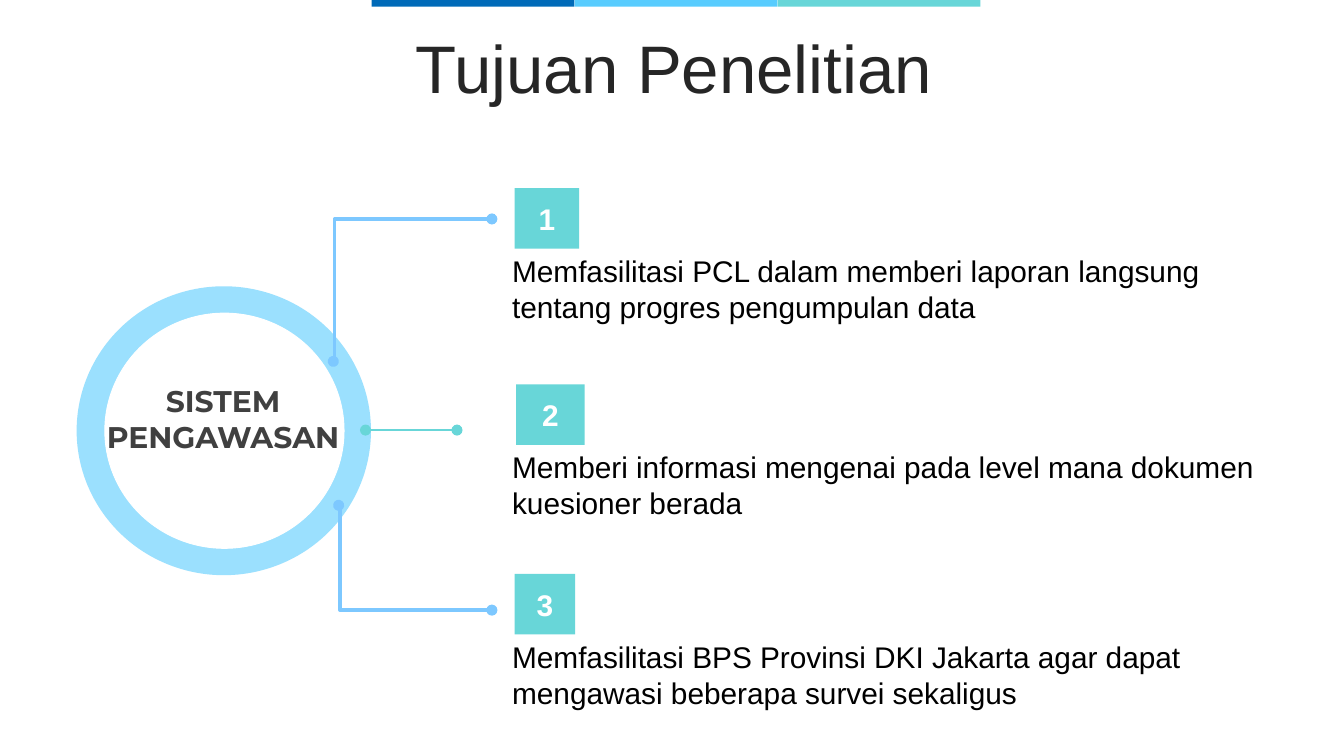
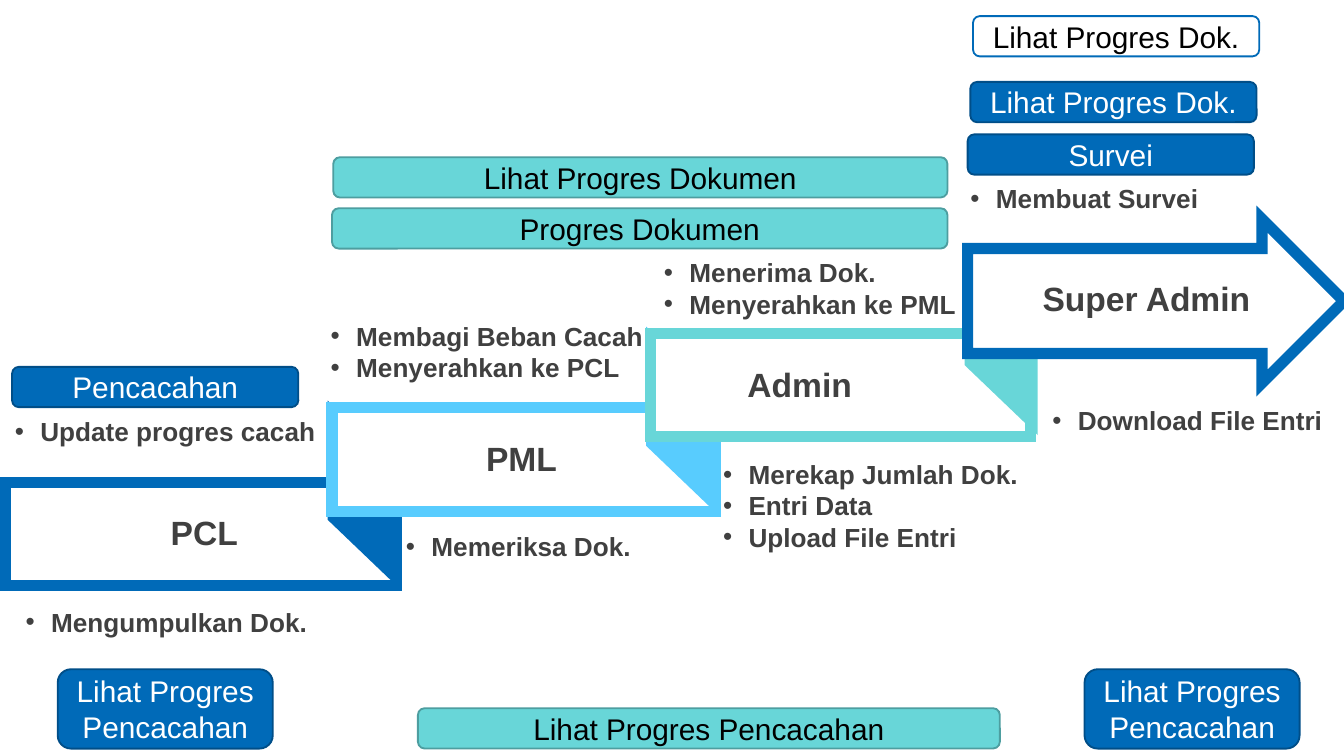
from lxml.etree import SubElement
from pptx import Presentation
from pptx.dml.color import RGBColor
from pptx.enum.shapes import MSO_CONNECTOR as CONN, MSO_SHAPE as SHAPE
from pptx.enum.text import MSO_ANCHOR as ANCHOR, MSO_AUTO_SIZE as FIT, PP_ALIGN as ALIGN
from pptx.oxml.ns import qn
from pptx.util import Inches, Pt

COLS, ROWS = 100, 56.25
WIDTH, HEIGHT = Inches(10), Inches(5.625)
BLUE, SKY, TEAL = "006AB8", "58CCFE", "68D6D8"
PALE, LINK = "9BE0FE", "7DC8FF"
NAVY, DEEP_TEAL = "004E88", "4D9EA0"
WHITE, BLACK, INK, GREY = "FFFFFF", "000000", "262626", "404040"
FONT, LABEL_FONT = "Arial", "Montserrat"
INSETS = (0.7, 0.4)
PILL_INSETS = (1, 0.5)


def rgb(code):
    """Turn a hex string into a colour."""
    return RGBColor.from_string(code)


def x(cols):
    """Convert grid columns to a horizontal length."""
    return round(WIDTH * cols / COLS)


def y(rows):
    """Convert grid rows to a vertical length."""
    return round(HEIGHT * rows / ROWS)


def area(left, top, width, height):
    """Convert a grid area to slide lengths."""
    return x(left), y(top), x(width), y(height)


def write(sp, lines, size, color, bold=False, font=FONT, align=ALIGN.CENTER,
          anchor=ANCHOR.MIDDLE, insets=INSETS, bullet=False):
    """Fill a shape with one paragraph per line."""
    tf = sp.text_frame
    tf.word_wrap = True
    tf.vertical_anchor = anchor
    tf.margin_left = tf.margin_right = x(insets[0])
    tf.margin_top = tf.margin_bottom = y(insets[1])
    for i, line in enumerate(lines):
        p = tf.add_paragraph() if i else tf.paragraphs[0]
        p.alignment = align
        r = p.add_run()
        r.text = line
        r.font.size, r.font.bold, r.font.name = Pt(size), bold, font
        r.font.color.rgb = rgb(color)
        if bullet:
            add_bullet(p)
    return tf


def add_bullet(p):
    """Give a paragraph a hanging bullet."""
    pPr = p._p.get_or_add_pPr()
    pPr.set("marL", str(x(1.9)))
    pPr.set("indent", str(-x(1.9)))
    SubElement(pPr, qn("a:buFont"), typeface=FONT)
    SubElement(pPr, qn("a:buChar"), char="•")


def paint(sp, fill, line=None, weight=1):
    """Set the fill and the mitred outline of a shape."""
    sp.shadow.inherit = False
    sp.fill.solid()
    sp.fill.fore_color.rgb = rgb(fill)
    if line is None:
        sp.line.fill.background()
        return
    sp.line.color.rgb = rgb(line)
    sp.line.width = Pt(weight)
    SubElement(sp.line._get_or_add_ln(), qn("a:miter"), lim="800000")


def add_box(s, kind, box, fill, line=None, weight=1):
    """Add a painted preset shape."""
    sp = s.shapes.add_shape(kind, *area(*box))
    paint(sp, fill, line, weight)
    return sp


def add_text(s, box, lines, size, color, **style):
    """Add a text box that grows with its text."""
    sp = s.shapes.add_textbox(*area(*box))
    tf = write(sp, lines, size, color, anchor=ANCHOR.TOP, **style)
    tf.auto_size = FIT.SHAPE_TO_FIT_TEXT


def add_title(s, text):
    """Add the slide title below a band of three colours."""
    sp = s.shapes.add_textbox(*area(2.7, 2.4, 94.9, 5.9))
    p = write(sp, [text], 36, INK).paragraphs[0]
    p.line_spacing, p.space_before = 0.9, Pt(7.5)
    for i, color in enumerate((BLUE, SKY, TEAL)):
        add_box(s, SHAPE.RECTANGLE, (27.65 + 15.1 * i, 0, 15.1, 0.5), color)


def add_link(s, kind, start, end, color, weight, bend=None):
    """Add a connector with a dot at both ends."""
    c = s.shapes.add_connector(kind, x(start[0]), y(start[1]), x(end[0]), y(end[1]))
    c.line.color.rgb = rgb(color)
    c.line.width = Pt(weight)
    ln = c.line._get_or_add_ln()
    for tag in ("a:headEnd", "a:tailEnd"):
        SubElement(ln, qn(tag), type="oval")
    spPr = c._element.spPr
    SubElement(spPr, qn("a:effectLst"))
    if bend is not None:
        guides = spPr.find(qn("a:prstGeom")).get_or_add_avLst()
        SubElement(guides, qn("a:gd"), name="adj1", fmla=f"val {bend}")


def add_goal(s, number, left, top, side, width, lines):
    """Add a numbered square with its goal below."""
    add_text(s, (37.4, top + 4.4, width, 6.1), lines, 16, BLACK, align=ALIGN.LEFT)
    sp = add_box(s, SHAPE.RECTANGLE, (left, top, side, 4.5), TEAL)
    write(sp, [str(number)], 16, WHITE, bold=True)


def add_step(s, left, top, width, fold_left, fold_top, color):
    """Add a framed step with a folded corner."""
    add_box(s, SHAPE.RECTANGLE, (left, top, width, 7.7), WHITE, color, 6)
    right = fold_left + 4.6
    corners = [(right, fold_top + 4.5), (right, fold_top + 12.1), (fold_left, fold_top + 7.7)]
    fb = s.shapes.build_freeform(x(fold_left), y(fold_top))
    fb.add_line_segments([(x(a), y(b)) for a, b in corners], close=True)
    paint(fb.convert_to_shape(), color, color, 6)


def add_role(s, left, top, name):
    """Add the name of a role."""
    add_text(s, (left, top, 20.2, 3.8), [name], 18, GREY, bold=True)


def add_tasks(s, left, top, width, *tasks):
    """Add a bulleted list of tasks."""
    height = 0.8 + 2.35 * len(tasks)
    add_text(s, (left, top, width, height), tasks, 14, GREY, bold=True,
             align=ALIGN.LEFT, bullet=True)


def add_pill(s, box, lines, look):
    """Add a rounded label in a look of fill, line and text colour."""
    fill, line, color = look
    sp = add_box(s, SHAPE.ROUNDED_RECTANGLE, box, fill, line)
    write(sp, lines, 16, color, insets=PILL_INSETS)


def build_goals(s):
    """Build the slide of research goals."""
    add_title(s, "Tujuan Penelitian")
    add_box(s, SHAPE.OVAL, (5.7, 21.3, 21.9, 21.5), PALE)
    add_box(s, SHAPE.OVAL, (7.8, 23.3, 17.8, 17.5), WHITE, WHITE, 0.5)
    add_link(s, CONN.ELBOW, (25.2, 37.6), (36.6, 45.4), LINK, 1.75, 900)
    add_link(s, CONN.STRAIGHT, (34, 32), (27.2, 32), TEAL, 1.5)
    add_link(s, CONN.ELBOW, (24.8, 26.9), (36.6, 16.3), LINK, 1.75, 800)
    add_text(s, (6.7, 28.1, 19.8, 6.1), ["SISTEM PENGAWASAN"], 16, GREY,
             bold=True, font=LABEL_FONT)
    goals = [
        (38.3, 14, 4.8, 53.5, ["Memfasilitasi PCL dalam memberi laporan langsung "
                               "tentang progres pengumpulan data"]),
        (38.4, 28.6, 5.1, 59.1, ["Memberi informasi mengenai pada level mana dokumen",
                                 "kuesioner berada"]),
        (38.3, 42.7, 4.5, 52.8, ["Memfasilitasi BPS Provinsi DKI Jakarta agar dapat "
                                 "mengawasi beberapa survei sekaligus"]),
    ]
    for number, goal in enumerate(goals, 1):
        add_goal(s, number, *goal)


def build_roles(s):
    """Build the slide of roles as rising steps."""
    steps = [(0.4, 29.1, 30.8, BLUE), (24.7, 28.5, 25.3, SKY), (48.4, 28.3, 19.3, TEAL)]
    for i, (left, width, fold_top, color) in enumerate(steps):
        add_step(s, left, 35.9 - 5.55 * i, width, 24.8 + 23.7 * i, fold_top, color)
    arrow = add_box(s, SHAPE.RIGHT_ARROW, (72, 16.3, 28, 12.2), WHITE, BLUE, 6)
    arrow.adjustments[0], arrow.adjustments[1] = 0.64, 0.5

    add_role(s, 5.1, 37.7, "PCL")
    add_role(s, 28.7, 32.2, "PML")
    add_role(s, 49.4, 26.7, "Admin")
    add_role(s, 75.2, 20.3, "Super Admin")

    add_tasks(s, 0.4, 30.5, 25.3, "Update progres cacah")
    add_tasks(s, 1.2, 44.7, 25.3, "Mengumpulkan Dok.")
    add_tasks(s, 23.9, 23.4, 25.3, "Membagi Beban Cacah", "Menyerahkan ke PCL")
    add_tasks(s, 29.5, 39.1, 25.3, "Memeriksa Dok.")
    add_tasks(s, 48.7, 18.7, 23.4, "Menerima Dok.", "Menyerahkan ke PML")
    add_tasks(s, 53.1, 33.7, 25.3, "Merekap Jumlah Dok.", "Entri Data", "Upload File Entri")
    add_tasks(s, 71.5, 13.2, 20.2, "Membuat Survei")
    add_tasks(s, 77.6, 29.7, 22.4, "Download File Entri")

    blue, teal, plain = (BLUE, NAVY, WHITE), (TEAL, DEEP_TEAL, BLACK), (WHITE, BLUE, BLACK)
    add_pill(s, (72.4, 1.2, 21.3, 3), ["Lihat Progres Dok."], plain)
    add_pill(s, (72.2, 6.1, 21.3, 3), ["Lihat Progres Dok."], blue)
    add_pill(s, (72, 10, 21.3, 3), ["Survei"], blue)
    add_pill(s, (0.9, 27.3, 21.3, 3), ["Pencacahan"], blue)
    add_pill(s, (24.8, 11.7, 45.7, 3), ["Lihat Progres Dokumen"], teal)
    add_pill(s, (24.7, 15.5, 45.8, 3), ["Progres Dokumen"], teal)
    add_pill(s, (31.1, 52.7, 43.3, 3), ["Lihat Progres Pencacahan"], teal)
    for left in (4.3, 80.7):
        add_pill(s, (left, 49.8, 16, 5.9), ["Lihat Progres", "Pencacahan"], blue)


def main():
    """Build and save the presentation."""
    prs = Presentation()
    prs.slide_width, prs.slide_height = WIDTH, HEIGHT
    for build in (build_goals, build_roles):
        build(prs.slides.add_slide(prs.slide_layouts[6]))
    prs.save("out.pptx")


if __name__ == "__main__":
    main()
